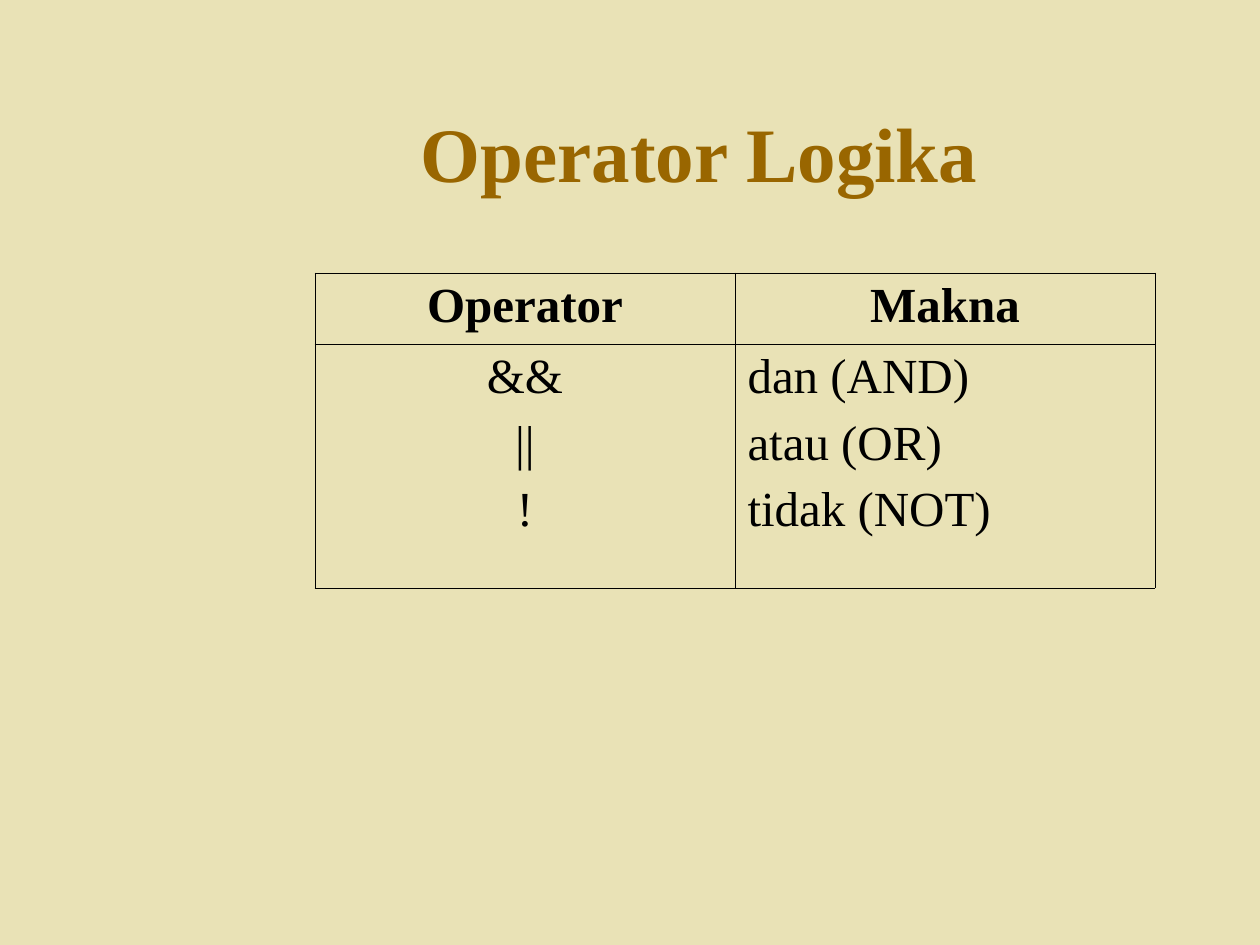
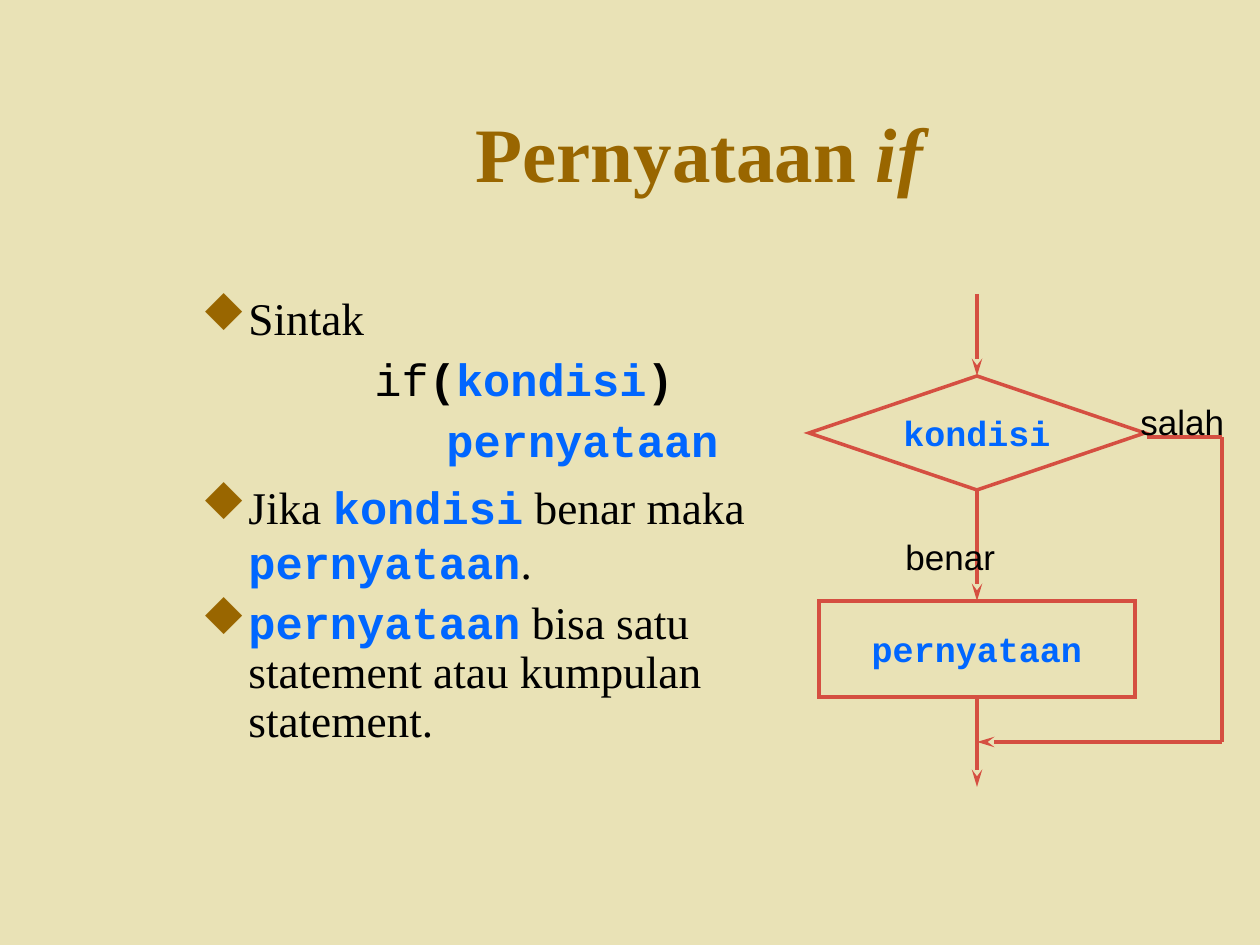
from lxml.etree import SubElement
from pptx import Presentation
from pptx.dml.color import RGBColor
from pptx.enum.shapes import MSO_CONNECTOR, MSO_SHAPE
from pptx.enum.text import MSO_ANCHOR, PP_ALIGN
from pptx.oxml.ns import qn
from pptx.util import Emu, Pt

SAND = RGBColor(0xE9, 0xE2, 0xB6)
BROWN = RGBColor(0x99, 0x66, 0x00)
BLACK = RGBColor(0x00, 0x00, 0x00)
BLUE = RGBColor(0x00, 0x66, 0xFF)
RED = RGBColor(0xD5, 0x4F, 0x41)
SERIF, MONO, SANS = "Times New Roman", "Courier New", "Arial"
# The symbol font draws a diamond for this letter
BULLET_FONT, BULLET_DIAMOND = "Wingdings", "u"

# Span styles: font, colour, bold
PLAIN = (SERIF, BLACK, False)
CODE = (MONO, BLACK, False)
CODE_BOLD = (MONO, BLACK, True)
TERM = (MONO, BLUE, True)

TITLE_BOX = (189, 73, 1040, 158)
BODY_BOX = (189, 284, 609, 557)
TABLE_BOX = (315, 273, 840, 315)
ROW_HEIGHTS = (71, 244)
BULLET_INDENT = 47
BODY_SIZE, TABLE_SIZE, CHART_SIZE = 25.9, 28, 20
SPACE_BEFORE = Pt(7)

OPERATOR_ROWS = [
    [["Operator"], ["Makna"]],
    [["&&", "||", "!"], ["dan (AND)", "atau (OR)", "tidak (NOT)"]],
]

# Body paragraphs: has bullet, left indent, line spacing, spans
IF_NOTES = [
    (True, BULLET_INDENT, 1.0, [("Sintak", PLAIN)]),
    (False, 173, 0.9, [("if", CODE), ("(", CODE_BOLD), ("kondisi", TERM), (")", CODE_BOLD)]),
    (False, 245, 0.9, [("pernyataan", TERM)]),
    (True, BULLET_INDENT, 1.0, [("Jika ", PLAIN), ("kondisi", TERM), (" benar maka ", PLAIN),
                                ("pernyataan", TERM), (".", PLAIN)]),
    (True, BULLET_INDENT, 0.9, [("pernyataan", TERM),
                                (" bisa satu statement atau kumpulan statement.", PLAIN)]),
]

FLOW_X, BYPASS_X, BYPASS_TOP, BYPASS_BOTTOM = 977, 1222, 437, 742
CONDITION = ("kondisi", MSO_SHAPE.DIAMOND, (809, 376, 336, 114))
STATEMENT = ("pernyataan", MSO_SHAPE.RECTANGLE, (819, 601, 316, 96))
BRANCH_LABELS = [("benar", (893, 529, 115, 54), False), ("salah", (1128, 394, 111, 54), True)]


def px(length):
    return Emu(round(length * 914400 / 126))


def place(box):
    return [px(length) for length in box]


def set_font(font, name, size, color, bold=False):
    font.name, font.size, font.bold = name, Pt(size), bold
    font.color.rgb = color


def add_titled_slide(deck, *spans):
    """Add a slide whose title is made of (text, italic) spans."""
    slide = deck.slides.add_slide(deck.slide_layouts[5])
    title = slide.shapes.title
    title.left, title.top, title.width, title.height = place(TITLE_BOX)
    title.text_frame.vertical_anchor = MSO_ANCHOR.MIDDLE
    para = title.text_frame.paragraphs[0]
    para.alignment = PP_ALIGN.CENTER
    set_font(para.font, SERIF, 44, BROWN, True)
    for text, italic in spans:
        span = para.add_run()
        span.text = text
        if italic:
            span.font.italic = True
    return slide


def next_paragraph(frame, index):
    if index == 0:
        return frame.paragraphs[0]
    para = frame.add_paragraph()
    para.space_before = SPACE_BEFORE
    return para


def add_borders(cell):
    properties = cell._tc.get_or_add_tcPr()
    for index, side in enumerate(("lnL", "lnR", "lnT", "lnB")):
        line = SubElement(properties, qn(f"a:{side}"), w=str(Pt(0.45)))
        fill = SubElement(line, qn("a:solidFill"))
        SubElement(fill, qn("a:srgbClr"), val=str(BLACK))
        properties.insert(index, line)


def add_operator_table(slide):
    table = slide.shapes.add_table(2, 2, *place(TABLE_BOX)).table
    table.first_row = table.horz_banding = False
    for row_index, (height, cells) in enumerate(zip(ROW_HEIGHTS, OPERATOR_ROWS)):
        table.rows[row_index].height = px(height)
        for column, lines in enumerate(cells):
            cell = table.cell(row_index, column)
            cell.fill.background()
            add_borders(cell)
            is_header = row_index == 0
            centred = is_header or column == 0
            for index, text in enumerate(lines):
                para = next_paragraph(cell.text_frame, index)
                para.text = text
                para.alignment = PP_ALIGN.CENTER if centred else PP_ALIGN.LEFT
                set_font(para.font, SERIF, TABLE_SIZE, BLACK, is_header)


def set_indent(para, left, has_bullet):
    properties = para._p.get_or_add_pPr()
    properties.set("marL", str(px(left)))
    properties.set("indent", str(-px(left) if has_bullet else 0))
    if has_bullet:
        color = SubElement(properties, qn("a:buClr"))
        SubElement(color, qn("a:srgbClr"), val=str(BROWN))
        SubElement(properties, qn("a:buFont"), typeface=BULLET_FONT, charset="2")
        SubElement(properties, qn("a:buChar"), char=BULLET_DIAMOND)
    else:
        SubElement(properties, qn("a:buNone"))


def add_notes(slide):
    frame = slide.shapes.add_textbox(*place(BODY_BOX)).text_frame
    frame.word_wrap = True
    for index, (has_bullet, left, spacing, spans) in enumerate(IF_NOTES):
        para = next_paragraph(frame, index)
        set_indent(para, left, has_bullet)
        para.line_spacing = spacing
        for text, (name, color, bold) in spans:
            span = para.add_run()
            span.text = text
            set_font(span.font, name, BODY_SIZE, color, bold)


def set_line(line):
    """Format an outline or connector and return its XML element."""
    line.color.rgb = RED
    line.width = Pt(2)
    element = line._get_or_add_ln()
    SubElement(element, qn("a:miter"), lim="800000")
    return element


def add_step(slide, text, kind, box):
    step = slide.shapes.add_shape(kind, *place(box))
    step.shadow.inherit = False
    step.fill.background()
    set_line(step.line)
    frame = step.text_frame
    frame.word_wrap = False
    frame.vertical_anchor = MSO_ANCHOR.MIDDLE
    para = frame.paragraphs[0]
    para.text = text
    para.alignment = PP_ALIGN.CENTER
    set_font(para.font, MONO, CHART_SIZE, BLUE, True)
    return step


def add_flow_line(slide, start, end, has_arrow=True):
    connector = slide.shapes.add_connector(MSO_CONNECTOR.STRAIGHT, *place(start + end))
    element = set_line(connector.line)
    if has_arrow:
        SubElement(element, qn("a:tailEnd"), type="stealth", w="med", len="lg")
    SubElement(connector._element.spPr, qn("a:effectLst"))
    return connector


def add_flowchart(slide):
    condition = add_step(slide, *CONDITION)
    statement = add_step(slide, *STATEMENT)

    entry = add_flow_line(slide, (FLOW_X, 294), (FLOW_X, 376))
    entry.end_connect(condition, 0)
    true_branch = add_flow_line(slide, (FLOW_X, 490), (FLOW_X, 601))
    true_branch.begin_connect(condition, 2)
    true_branch.end_connect(statement, 0)
    leave = add_flow_line(slide, (FLOW_X, 697), (FLOW_X, 787))
    leave.begin_connect(statement, 2)

    bypass = [(1147, BYPASS_TOP), (BYPASS_X, BYPASS_TOP),
              (BYPASS_X, BYPASS_BOTTOM), (FLOW_X, BYPASS_BOTTOM)]
    for start, end in zip(bypass, bypass[1:]):
        add_flow_line(slide, start, end, has_arrow=end == bypass[-1])

    for text, box, wraps in BRANCH_LABELS:
        frame = slide.shapes.add_textbox(*place(box)).text_frame
        frame.word_wrap = wraps
        para = frame.paragraphs[0]
        para.text = text
        set_font(para.font, SANS, CHART_SIZE, BLACK)


def main():
    deck = Presentation()
    deck.slide_width, deck.slide_height = px(1260), px(945)
    background = deck.slide_master.background.fill
    background.solid()
    background.fore_color.rgb = SAND

    add_operator_table(add_titled_slide(deck, ("Operator Logika ", False)))

    if_slide = add_titled_slide(deck, ("Pernyataan ", False), ("if ", True))
    add_notes(if_slide)
    add_flowchart(if_slide)
    deck.save("out.pptx")


if __name__ == "__main__":
    main()
